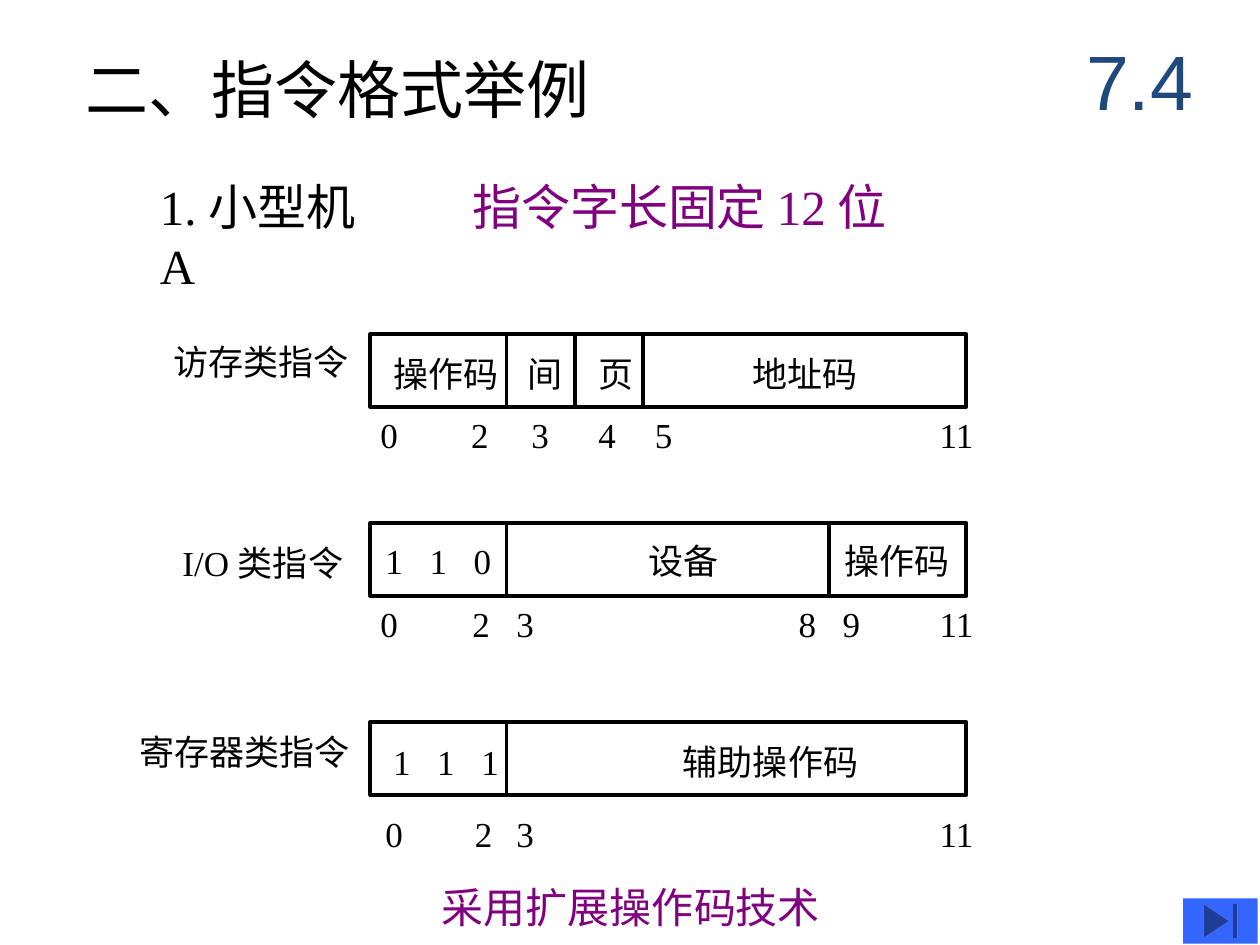
"""Build the slide on minicomputer instruction formats."""
from dataclasses import dataclass

from lxml import etree
from pptx import Presentation, util as u
from pptx.dml.color import RGBColor
from pptx.enum import shapes, text
from pptx.oxml.ns import qn

PX = 9144
COLORS = {"ink": "000000", "accent": "800080", "section": "1F497D", "button": "3366FF"}
SERIF = "Times New Roman"
BAR_LEFT, BAR_WIDTH, BAR_HEIGHT = 294, 473, 58
FIELD_LEFT = 300


@dataclass(frozen=True)
class Mark:
    text: str
    left: int


@dataclass(frozen=True)
class Format:
    label: str
    label_box: tuple[int, int, int]
    top: int
    dividers: list[int]
    fields: list[Mark]
    field_top: int
    field_width: int
    bits: list[Mark]
    bit_top: int


def emu(*lengths: int) -> list[u.Emu]:
    return [u.Emu(length * PX) for length in lengths]


def color(name: str) -> RGBColor:
    return RGBColor.from_string(COLORS[name])


def write(box, content: str, size: int, ink: str = "ink", face: str = SERIF,
          wrap: bool = True, tabs: tuple[int, ...] = ()) -> None:
    frame = box.text_frame
    frame.word_wrap = wrap
    frame.auto_size = text.MSO_AUTO_SIZE.SHAPE_TO_FIT_TEXT
    frame.vertical_anchor = text.MSO_ANCHOR.TOP
    para = frame.paragraphs[0]
    para.text = content
    para.alignment = text.PP_ALIGN.LEFT
    if tabs:
        stops = etree.SubElement(para._p.get_or_add_pPr(), qn("a:tabLst"))
        for position in emu(*tabs):
            etree.SubElement(stops, qn("a:tab"), pos=str(position), algn="l")
    para.font.size = u.Pt(size)
    para.font.name = face
    para.font.color.rgb = color(ink)


def add_text(target, area: tuple[int, int, int, int], content: str, size: int, **style):
    box = target.shapes.add_textbox(*emu(*area))
    write(box, content, size, **style)
    return box


def add_divider(target, x: int, top: int) -> None:
    line = target.shapes.add_connector(
        shapes.MSO_CONNECTOR.STRAIGHT, *emu(x, top, x, top + BAR_HEIGHT))
    line.line.color.rgb = color("ink")
    line.line.width = u.Pt(2.25)
    etree.SubElement(line._element.spPr, qn("a:effectLst"))


def add_format(page, row: Format) -> None:
    group = page.shapes.add_group_shape()
    bar = group.shapes.add_shape(
        shapes.MSO_SHAPE.RECTANGLE, *emu(BAR_LEFT, row.top, BAR_WIDTH, BAR_HEIGHT))
    bar.shadow.inherit = False
    bar.fill.background()
    bar.line.color.rgb = color("ink")
    bar.line.width = u.Pt(2.25)
    for x in row.dividers:
        add_divider(group, x, row.top)
    add_text(group, (*row.label_box, 44), row.label, 20, wrap=False)
    fields = add_text(
        group, (FIELD_LEFT, row.field_top, row.field_width, 44),
        "".join("\t" + field.text for field in row.fields), 20,
        tabs=tuple(field.left - FIELD_LEFT for field in row.fields))
    fields.text_frame.margin_left = 0
    for bit in row.bits:
        width = 20 + 14 * len(bit.text)
        add_text(group, (bit.left, row.bit_top, width, 44), bit.text, 20, wrap=False)


FORMATS = [
    Format("访存类指令", (128, 265, 159), 265, [402, 456, 510],
           [Mark("操作码", 312), Mark("间", 419), Mark("页", 475), Mark("地址码", 597)],
           275, 466,
           [Mark("0", 292), Mark("2", 364), Mark("3", 412), Mark("4", 465),
            Mark("5", 510), Mark("11", 736)], 323),
    Format("I/O 类指令", (135, 425, 154), 415, [402, 658],
           [Mark("1", 306), Mark("1", 341), Mark("0", 376), Mark("设备", 515),
            Mark("操作码", 670)],
           423, 500,
           [Mark("0", 292), Mark("2", 365), Mark("3", 400), Mark("8", 624),
            Mark("9", 659), Mark("11", 736)], 473),
    Format("寄存器类指令", (101, 575, 187), 573, [402],
           [Mark("1", 312), Mark("1", 347), Mark("1", 382), Mark("辅助操作码", 542)],
           583, 483,
           [Mark("0", 296), Mark("2", 367), Mark("3", 400), Mark("11", 736)], 640),
]


def main() -> None:
    deck = Presentation()
    deck.slide_width, deck.slide_height = emu(1000, 750)
    page = deck.slides.add_slide(deck.slide_layouts[5])

    title = page.shapes.title
    title.left, title.top, title.width, title.height = emu(58, 35, 512, 70)
    write(title, "二、指令格式举例", 36)

    add_text(page, (117, 135, 188, 57), "1. 小型机 A", 28, wrap=False)
    add_text(page, (365, 135, 435, 57), "指令字长固定 12 位", 28, ink="accent")

    for row in FORMATS:
        add_format(page, row)

    section = add_text(page, (842, 17, 125, 92), "7.4", 44, ink="section", face="Arial")
    section.text_frame.auto_size = text.MSO_AUTO_SIZE.NONE
    section.text_frame.vertical_anchor = text.MSO_ANCHOR.MIDDLE
    section.text_frame.paragraphs[0].alignment = text.PP_ALIGN.CENTER

    summary = add_text(page, (341, 689, 600, 56), "采用扩展操作码技术", 24, ink="accent")
    summary.text_frame.paragraphs[0].line_spacing = 1.15

    button = page.shapes.add_shape(
        shapes.MSO_SHAPE.ACTION_BUTTON_END, *emu(939, 713, 59, 36))
    button.shadow.inherit = False
    button.fill.solid()
    button.fill.fore_color.rgb = color("button")
    button.line.fill.background()

    deck.save("out.pptx")


if __name__ == "__main__":
    main()
